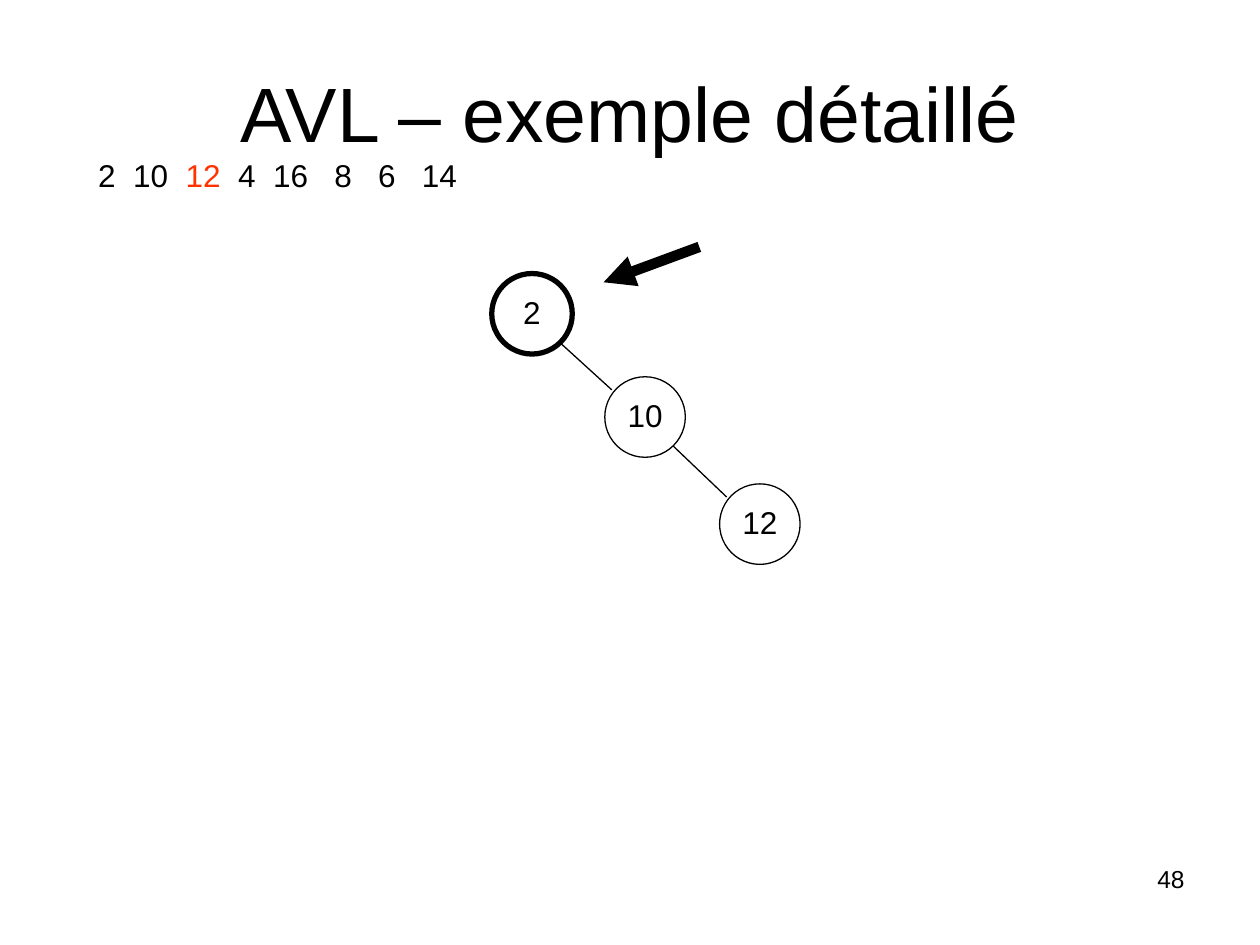
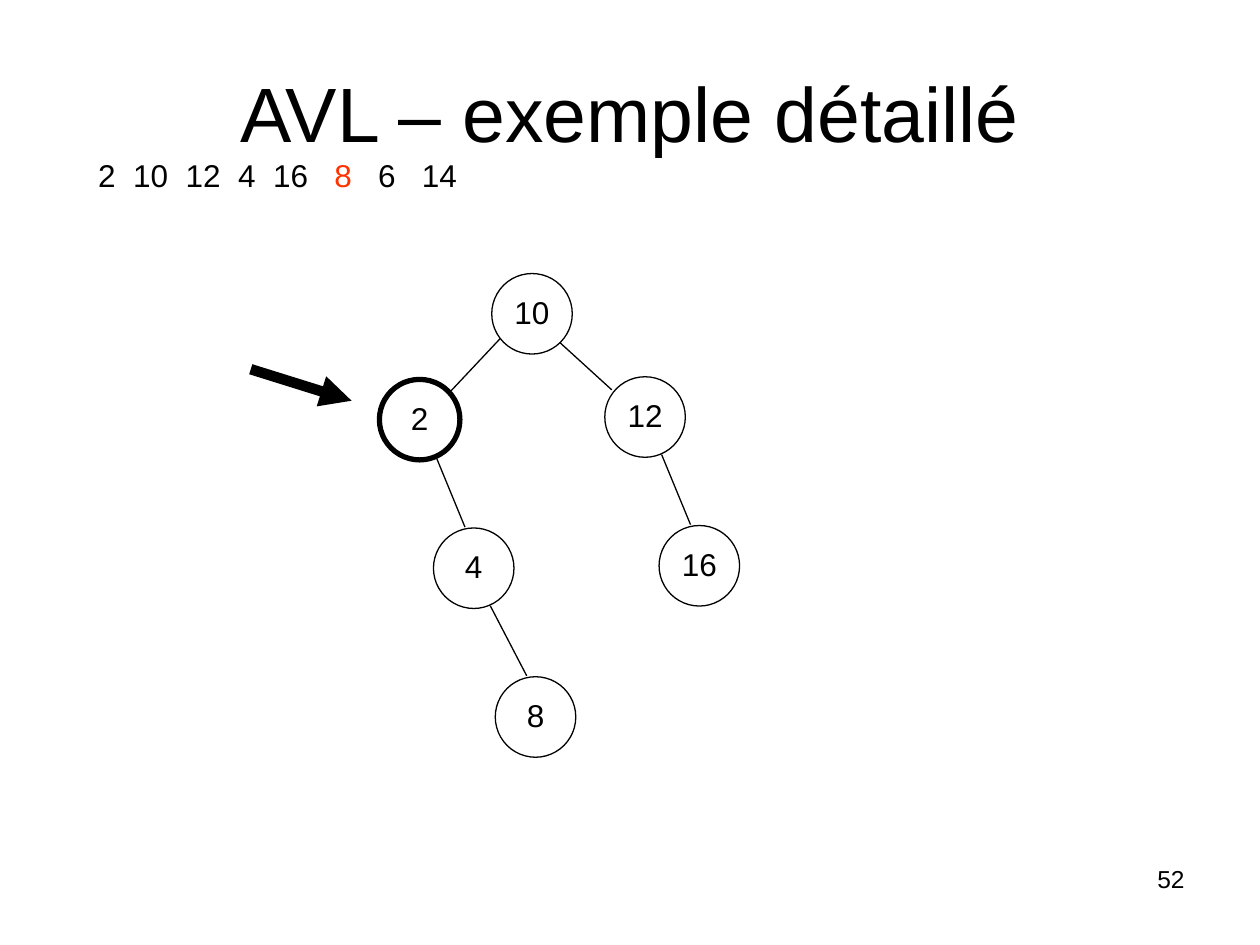
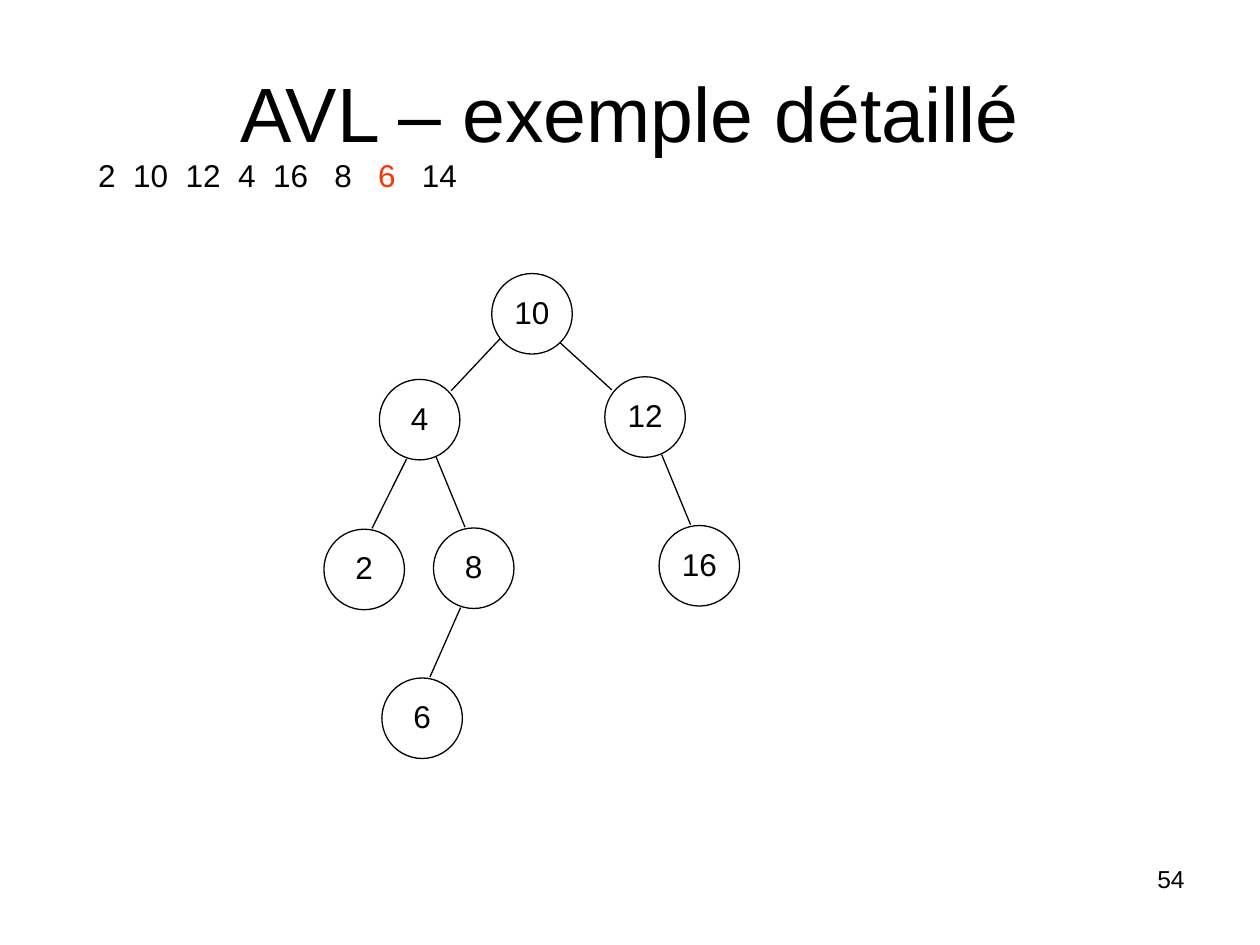
from dataclasses import dataclass

from lxml import etree
from pptx import Presentation
from pptx.dml.color import RGBColor
from pptx.enum.shapes import MSO_CONNECTOR, MSO_SHAPE
from pptx.enum.text import MSO_ANCHOR, PP_ALIGN
from pptx.oxml.ns import qn
from pptx.util import Pt


@dataclass(frozen=True)
class Theme:
    font: str = "Arial"
    ink: RGBColor = RGBColor(0x00, 0x00, 0x00)
    accent: RGBColor = RGBColor(0xFF, 0x33, 0x00)
    title_size: int = 44
    body_size: int = 18
    number_size: int = 14
    line_spacing: float = 0.93
    thin: float = 0.75
    bold: float = 3
    pointer: float = 6


theme = Theme()

TITLE = "AVL – exemple détaillé"
KEYS = [2, 10, 12, 4, 16, 8, 6, 14]
KEY_STOPS = [20, 50, 80, 100, 135, 160, 185]
RADIUS = 23

# Each tree position: centre, and the position of its parent
POSITIONS = {
    "root": (304, 179.3, None),
    "left": (239.8, 239.8, "root"),
    "right": (368.6, 238.3, "root"),
    "far right": (434.2, 299.5, "right"),
    "left-left": (208.1, 325.4, "left"),
    "left-right": (270.7, 324.7, "left"),
    "right-right": (399.6, 323.3, "right"),
    "left-right-left": (241.2, 410.4, "left-right"),
    "left-right-right": (306, 409.7, "left-right"),
}

# Branch ends, relative to the parent's and the child's centre,
# by (leads to the right, steep)
BRANCH_ENDS = {
    (True, False): ((16, 16.5), (-19, -15.5)),
    (False, False): ((-18, 14), (18, -16.5)),
    (True, True): ((9.5, 21.5), (-5, -23.5)),
    (False, True): ((-7.5, 22.5), (4.5, -23.5)),
}

# The pointer runs from its first point to its second one
STEPS = [
    {"number": 48, "inserted": 12, "unbalanced": "root",
     "pointer": (399.6, 141.1, 344.9, 161.3),
     "tree": {"root": 2, "right": 10, "far right": 12}},
    {"number": 52, "inserted": 8, "unbalanced": "left",
     "pointer": (143.3, 211, 200.9, 229),
     "tree": {"root": 10, "right": 12, "left": 2, "left-right": 4,
              "right-right": 16, "left-right-right": 8}},
    {"number": 54, "inserted": 6, "unbalanced": None, "pointer": None,
     "tree": {"root": 10, "right": 12, "left": 4, "left-right": 8,
              "right-right": 16, "left-left": 2, "left-right-left": 6}},
]


def style(paragraph, size, align):
    paragraph.alignment = align
    paragraph.line_spacing = theme.line_spacing
    for run in paragraph.runs:
        run.font.name = theme.font
        run.font.size = Pt(size)
        run.font.color.rgb = theme.ink


def add_line(slide, x1, y1, x2, y2, width):
    line = slide.shapes.add_connector(
        MSO_CONNECTOR.STRAIGHT, Pt(x1), Pt(y1), Pt(x2), Pt(y2))
    line.line.color.rgb = theme.ink
    line.line.width = Pt(width)
    etree.SubElement(line._element.spPr, qn("a:effectLst"))
    return line


prs = Presentation()
prs.slide_width, prs.slide_height = Pt(720), Pt(540)
title_only = prs.slide_layouts[5]

for step in STEPS:
    slide = prs.slides.add_slide(title_only)

    title = slide.shapes.title
    title.left, title.top, title.width, title.height = Pt(36), Pt(21.6), Pt(648), Pt(90)
    title.text_frame.text = TITLE
    title.text_frame.vertical_anchor = MSO_ANCHOR.MIDDLE
    style(title.text_frame.paragraphs[0], theme.title_size, PP_ALIGN.CENTER)

    page_number = slide.shapes.add_textbox(Pt(516.2), Pt(491.8), Pt(167.8), Pt(37.4))
    page_number.text_frame.word_wrap = True
    page_number.text_frame.text = str(step["number"])
    style(page_number.text_frame.paragraphs[0], theme.number_size, PP_ALIGN.RIGHT)

    # Keys to insert, the current one highlighted
    key_list = slide.shapes.add_textbox(Pt(49), Pt(87.8), Pt(230.4), Pt(27.4))
    key_list.text_frame.word_wrap = True
    key_line = key_list.text_frame.paragraphs[0]
    tab_list = etree.SubElement(key_line._p.get_or_add_pPr(), qn("a:tabLst"))
    for stop in KEY_STOPS:
        etree.SubElement(tab_list, qn("a:tab"), pos=str(Pt(stop)), algn="l")
    at = KEYS.index(step["inserted"])
    before = "".join(f"{key}\t" for key in KEYS[:at])
    after = "".join(f"\t{key}" for key in KEYS[at + 1:])
    for part in (before, str(step["inserted"]), after):
        key_line.add_run().text = part
    style(key_line, theme.body_size, PP_ALIGN.LEFT)
    key_line.runs[1].font.color.rgb = theme.accent

    for position, key in step["tree"].items():
        x, y, parent = POSITIONS[position]
        node = slide.shapes.add_shape(
            MSO_SHAPE.OVAL, Pt(x - RADIUS), Pt(y - RADIUS), Pt(2 * RADIUS), Pt(2 * RADIUS))
        node.shadow.inherit = False
        node.fill.background()
        node.line.color.rgb = theme.ink
        node.line.width = Pt(theme.bold if position == step["unbalanced"] else theme.thin)
        label = node.text_frame
        label.margin_left = label.margin_right = label.margin_top = label.margin_bottom = 0
        label.vertical_anchor = MSO_ANCHOR.MIDDLE
        label.text = str(key)
        style(label.paragraphs[0], theme.body_size, PP_ALIGN.CENTER)

        if parent:
            parent_x, parent_y, _ = POSITIONS[parent]
            steep = y - parent_y > abs(x - parent_x)
            (dx1, dy1), (dx2, dy2) = BRANCH_ENDS[x > parent_x, steep]
            add_line(slide, parent_x + dx1, parent_y + dy1, x + dx2, y + dy2, theme.thin)

    if step["pointer"]:
        pointer = add_line(slide, *step["pointer"], theme.pointer)
        etree.SubElement(pointer.line._get_or_add_ln(), qn("a:tailEnd"), type="triangle")

prs.save("out.pptx")
